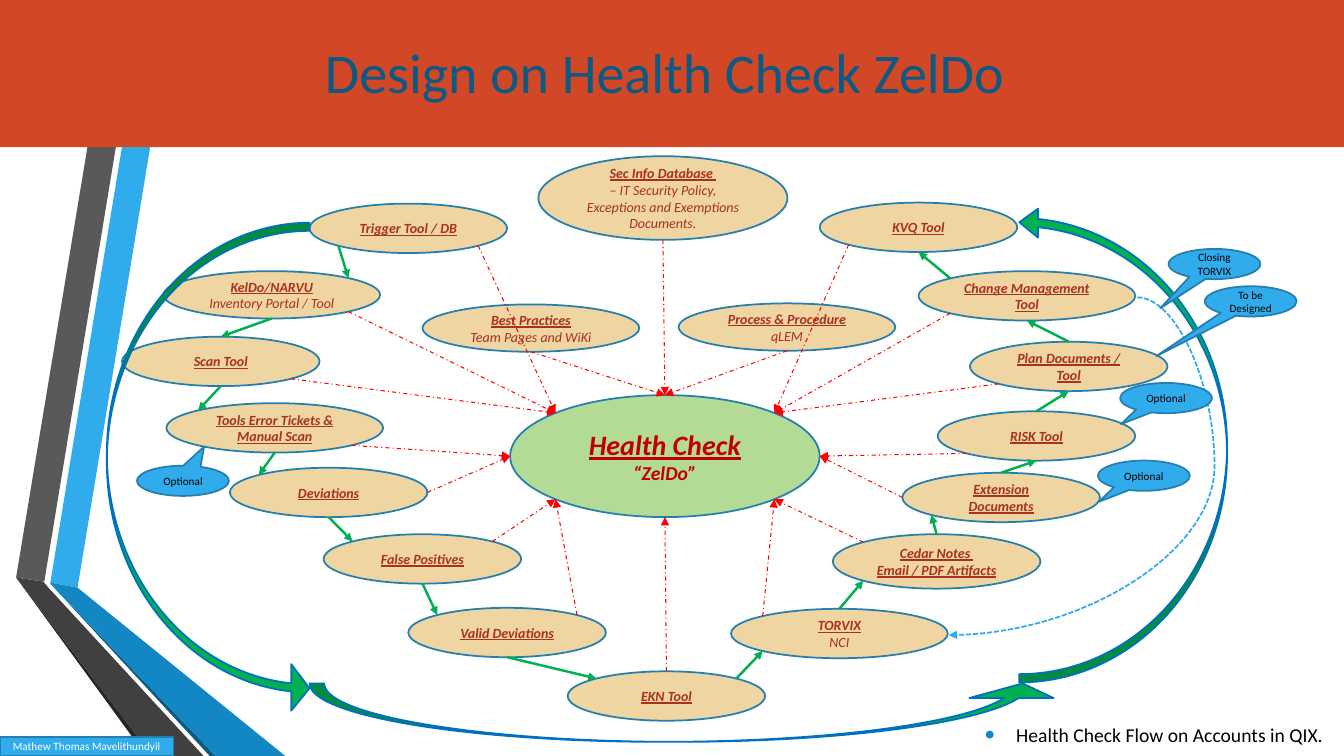
from math import cos, pi, sin

from lxml import etree
from pptx import Presentation
from pptx.dml.color import RGBColor
from pptx.enum.dml import MSO_LINE
from pptx.enum.shapes import MSO_CONNECTOR, MSO_SHAPE
from pptx.enum.text import MSO_ANCHOR, PP_ALIGN
from pptx.oxml.ns import qn
from pptx.util import Inches, Pt

RECT, OVAL = MSO_SHAPE.RECTANGLE, MSO_SHAPE.OVAL
CALLOUT = MSO_SHAPE.OVAL_CALLOUT
RIGHT_ARROW, UP_ARROW = MSO_SHAPE.CURVED_RIGHT_ARROW, MSO_SHAPE.CURVED_UP_ARROW
STRAIGHT, CURVE = MSO_CONNECTOR.STRAIGHT, MSO_CONNECTOR.CURVE
DASH_DOT, SYS_DASH = MSO_LINE.DASH_DOT, MSO_LINE.SQUARE_DOT
MIDDLE, CENTER, LEFT = MSO_ANCHOR.MIDDLE, PP_ALIGN.CENTER, PP_ALIGN.LEFT

WIDTH, HEIGHT = Inches(13.33), Inches(7.5)
ROWS = 75
CELL = HEIGHT / ROWS
FONT = "Calibri"
TOP, TOP_LEFT, MID_LEFT, LOW_LEFT, BOTTOM, LOW_RIGHT, MID_RIGHT, TOP_RIGHT = range(8)

COLORS = {
    "banner": "D24726", "title": "0C5A82", "sky": "30ACEC", "blue": "1287C3",
    "navy": "0C5A82", "grey": "595959", "dark": "404040", "black": "262626",
    "sand": "EFD5A2", "outline": "247FAF", "hub": "B3DB95", "hub text": "C00000",
    "node text": "A93023", "feed": "FF0000", "flow": "00B050", "arc": "0070C0",
    "ink": "000000", "white": "FFFFFF",
}

RIBBONS = [
    ("sky", [(5, 57.8), (7.7, 58.3), (17.3, 0), (14.5, 0)]),
    ("grey", [(13.9, 0), (11.1, 0), (1.6, 57.3), (4.4, 57.7)]),
    ("black", [(1.6, 57.3), (14.5, 75), (15.1, 75)]),
    ("navy", [(5, 57.9), (20.8, 75), (21.4, 75)]),
    ("blue", [(5, 57.9), (21.4, 75), (28.3, 75), (7.7, 58.3), (5, 57.8)]),
    ("dark", [(20.2, 75), (4.8, 58.3), (4.3, 57.7), (1.6, 57.3), (15.1, 75)]),
]

NODES = {
    "info": (53.4, 15.5, 24.7, 8.3, "Sec Info Database ",
             "– IT Security Policy, Exceptions and Exemptions Documents."),
    "trigger": (30.7, 20.2, 19.6, 4.9, "Trigger Tool / DB", ""),
    "inventory": (16.2, 26.9, 21.5, 4.7, "KelDo/NARVU", "Inventory Portal / Tool"),
    "scan": (12.1, 33.4, 19.6, 4.9, "Scan Tool", ""),
    "tickets": (16.5, 40, 21.5, 4.9, "Tools Error Tickets & Manual Scan", ""),
    "deviations": (22.8, 46.4, 19.6, 4.9, "Deviations", ""),
    "false": (32.1, 53, 19.6, 4.9, "False Positives", ""),
    "valid": (40.5, 60.3, 19.6, 4.9, "Valid Deviations", ""),
    "closing": (56.3, 66.6, 19.6, 4.9, "EKN Tool", ""),
    "issues": (72.5, 60.4, 21.5, 4.9, "TORVIX", "NCI"),
    "notes": (82.6, 53, 20.6, 5.4, "Cedar Notes \nEmail / PDF Artifacts", ""),
    "extension": (89.5, 46.9, 19.6, 4.9, "Extension Documents", ""),
    "risk": (93, 40.8, 19.6, 4.9, "RISK Tool", ""),
    "plan": (96.2, 33.9, 19.6, 4.9, "Plan Documents / Tool", ""),
    "change": (91.1, 26.9, 21.5, 4.9, "Change Management Tool", ""),
    "final": (81.3, 20.1, 19.6, 4.9, "KVQ Tool", ""),
    "practices": (41.9, 30.2, 21.5, 4.7, "Best Practices", "Team Pages and WiKi"),
    "process": (67.3, 30.1, 21.5, 4.7, "Process & Procedure", "qLEM"),
}

FEEDS = [
    ("info", BOTTOM, TOP), ("practices", BOTTOM, TOP), ("process", BOTTOM, TOP),
    ("trigger", LOW_RIGHT, TOP_LEFT), ("inventory", LOW_RIGHT, TOP_LEFT),
    ("scan", LOW_RIGHT, TOP_LEFT), ("tickets", LOW_RIGHT, MID_LEFT),
    ("deviations", MID_RIGHT, MID_LEFT), ("false", TOP_RIGHT, LOW_LEFT),
    ("valid", TOP_RIGHT, LOW_LEFT), ("closing", TOP, BOTTOM),
    ("final", LOW_LEFT, TOP_RIGHT), ("change", LOW_LEFT, TOP_RIGHT),
    ("plan", LOW_LEFT, TOP_RIGHT), ("risk", LOW_LEFT, MID_RIGHT),
    ("extension", MID_LEFT, MID_RIGHT), ("notes", TOP_LEFT, LOW_RIGHT),
    ("issues", TOP_LEFT, LOW_RIGHT),
]

FLOW = [
    ("trigger", LOW_LEFT, "inventory", TOP_RIGHT), ("inventory", BOTTOM, "scan", TOP),
    ("scan", BOTTOM, "tickets", TOP_LEFT), ("tickets", BOTTOM, "deviations", TOP_LEFT),
    ("deviations", BOTTOM, "false", TOP_LEFT), ("false", BOTTOM, "valid", TOP_LEFT),
    ("valid", BOTTOM, "closing", TOP_LEFT), ("closing", TOP_RIGHT, "issues", LOW_LEFT),
    ("issues", TOP, "notes", LOW_LEFT), ("notes", TOP, "extension", LOW_LEFT),
    ("extension", TOP, "risk", BOTTOM), ("risk", TOP, "plan", BOTTOM),
    ("plan", TOP, "change", BOTTOM), ("change", TOP_LEFT, "final", BOTTOM),
]

ARCS = [
    (RIGHT_ARROW, (10.6, 22.1, 20.1, 48.5), 0, (0.04, 0.23, 0.09)),
    (UP_ARROW, (30.7, 67.8, 74.9, 5.8), 0, (0.25, 1.44, 0.25)),
    (RIGHT_ARROW, (101.1, 20.6, 20.6, 47.1), 180, (0.04, 0.14, 0.09)),
]

CALLOUTS = [
    (108.9, 45.7, "Optional", (-0.49, 0.86)),
    (111.1, 38, "Optional", (-0.49, 0.86)),
    (115.9, 24.7, "Closing TORVIX", (-0.59, 1.46)),
    (119.5, 28.4, "To be Designed", (-1.03, 1.81)),
    (13.6, 46.2, "Optional", (0.23, -1.13)),
]


def rgb(name):
    return RGBColor.from_string(COLORS[name])


def cells(*values):
    return [round(v * CELL) for v in values]


def paint(s, fill, line=None):
    s.shadow.inherit = False
    s.fill.solid()
    s.fill.fore_color.rgb = rgb(fill)
    if line:
        s.line.color.rgb = rgb(line)
        s.line.width = Pt(1.25)
    else:
        s.line.fill.background()


def add_preset(slide, kind, box, fill, line=None, adjust=()):
    s = slide.shapes.add_shape(kind, *cells(*box))
    paint(s, fill, line)
    for i, value in enumerate(adjust):
        s.adjustments[i] = value
    return s


def add_ribbon(slide, fill, points):
    start, *rest = [cells(*pt) for pt in points]
    builder = slide.shapes.build_freeform(*start)
    builder.add_line_segments(rest)
    paint(builder.convert_to_shape(), fill)


def write(s, text, size, color, align=CENTER):
    tf = s.text_frame
    tf.text = text
    tf.word_wrap = True
    tf.vertical_anchor = MIDDLE
    for p in tf.paragraphs:
        p.alignment = align
        for r in p.runs:
            r.font.name, r.font.size = FONT, Pt(size)
            r.font.color.rgb = rgb(color)
    return tf.paragraphs


def emphasise(p, bold, underline):
    for r in p.runs:
        r.font.italic, r.font.bold, r.font.underline = True, bold, underline


def add_node(slide, x, y, w, h, heading, detail):
    s = add_preset(slide, OVAL, (x, y, w, h), "sand", "outline")
    text = f"{heading}\n{detail}" if detail else heading
    paragraphs = write(s, text, 10, "node text")
    for i, p in enumerate(paragraphs):
        is_heading = i == 0 or not detail
        emphasise(p, is_heading, is_heading)
    return s


def add_hub(slide):
    s = add_preset(slide, OVAL, (50.6, 39.2, 30.7, 12.1), "hub", "outline")
    name, alias = write(s, "Health Check\n“ZelDo”", 20, "hub text")
    emphasise(name, True, True)
    emphasise(alias, True, False)
    alias.runs[0].font.size = Pt(14)
    return s


def site(s, index):
    angle = index * pi / 4
    x = s.left + s.width / 2 * (1 - sin(angle))
    y = s.top + s.height / 2 * (1 - cos(angle))
    return round(x), round(y)


def add_arrow(slide, kind, start, end, color, width, dash=None):
    c = slide.shapes.add_connector(kind, *start, *end)
    c.line.color.rgb = rgb(color)
    c.line.width = Pt(width)
    if dash:
        c.line.dash_style = dash
    etree.SubElement(c.line._get_or_add_ln(), qn("a:tailEnd"), type="triangle")
    etree.SubElement(c._element.spPr, qn("a:effectLst"))
    return c


def link(slide, source, start, target, end, color, width, dash=None):
    c = add_arrow(slide, STRAIGHT, site(source, start), site(target, end), color, width, dash)
    if start == TOP:
        c.begin_connect(source, TOP)
    if end == TOP:
        c.end_connect(target, TOP)


def add_return_curve(slide):
    c = add_arrow(slide, CURVE, cells(112.8, 29.5), cells(94.1, 63), "sky", 1.25, SYS_DASH)
    guides = c._element.spPr.find(qn("a:prstGeom")).get_or_add_avLst()
    etree.SubElement(guides, qn("a:gd"), name="adj1", fmla="val -41000")


def add_caption(slide):
    s = slide.shapes.add_textbox(*cells(96.7, 71.3, 36.6, 3.1))
    p = write(s, "Health Check Flow on Accounts in QIX.", 14, "ink", LEFT)[0]
    s.text_frame.margin_right = 0
    pPr = p._p.get_or_add_pPr()
    pPr.set("marL", str(Inches(0.31)))
    pPr.set("indent", str(-Inches(0.31)))
    color = etree.SubElement(pPr, qn("a:buClr"))
    etree.SubElement(color, qn("a:srgbClr"), val=COLORS["blue"])
    etree.SubElement(pPr, qn("a:buSzPct"), val="145000")
    etree.SubElement(pPr, qn("a:buFont"), typeface="Arial")
    etree.SubElement(pPr, qn("a:buChar"), char="•")


def main():
    prs = Presentation()
    prs.slide_width, prs.slide_height = WIDTH, HEIGHT
    slide = prs.slides.add_slide(prs.slide_layouts[6])
    for fill, points in RIBBONS:
        add_ribbon(slide, fill, points)
    add_preset(slide, RECT, (0, 0, WIDTH / CELL, 14.6), "banner")
    title = slide.shapes.add_textbox(*cells(12.1, 2.9, 107.6, 8.3))
    write(title, "Design on Health Check ZelDo", 40, "title")
    add_caption(slide)
    hub = add_hub(slide)
    nodes = {key: add_node(slide, *node) for key, node in NODES.items()}
    for key, start, end in FEEDS:
        link(slide, nodes[key], start, hub, end, "feed", 0.75, DASH_DOT)
    for kind, box, turn, adjust in ARCS:
        add_preset(slide, kind, box, "flow", "arc", adjust).rotation = turn
    for source, start, target, end in FLOW:
        link(slide, nodes[source], start, nodes[target], end, "flow", 1.75)
    add_return_curve(slide)
    for x, y, text, adjust in CALLOUTS:
        s = add_preset(slide, CALLOUT, (x, y, 9.1, 3), "sky", "outline", adjust)
        write(s, text, 8, "ink")
    author = add_preset(slide, RECT, (0, 73.1, 17.2, 1.9), "sky", "outline")
    write(author, "Mathew Thomas Mavelithundyil", 8, "white")
    prs.save("out.pptx")


if __name__ == "__main__":
    main()
